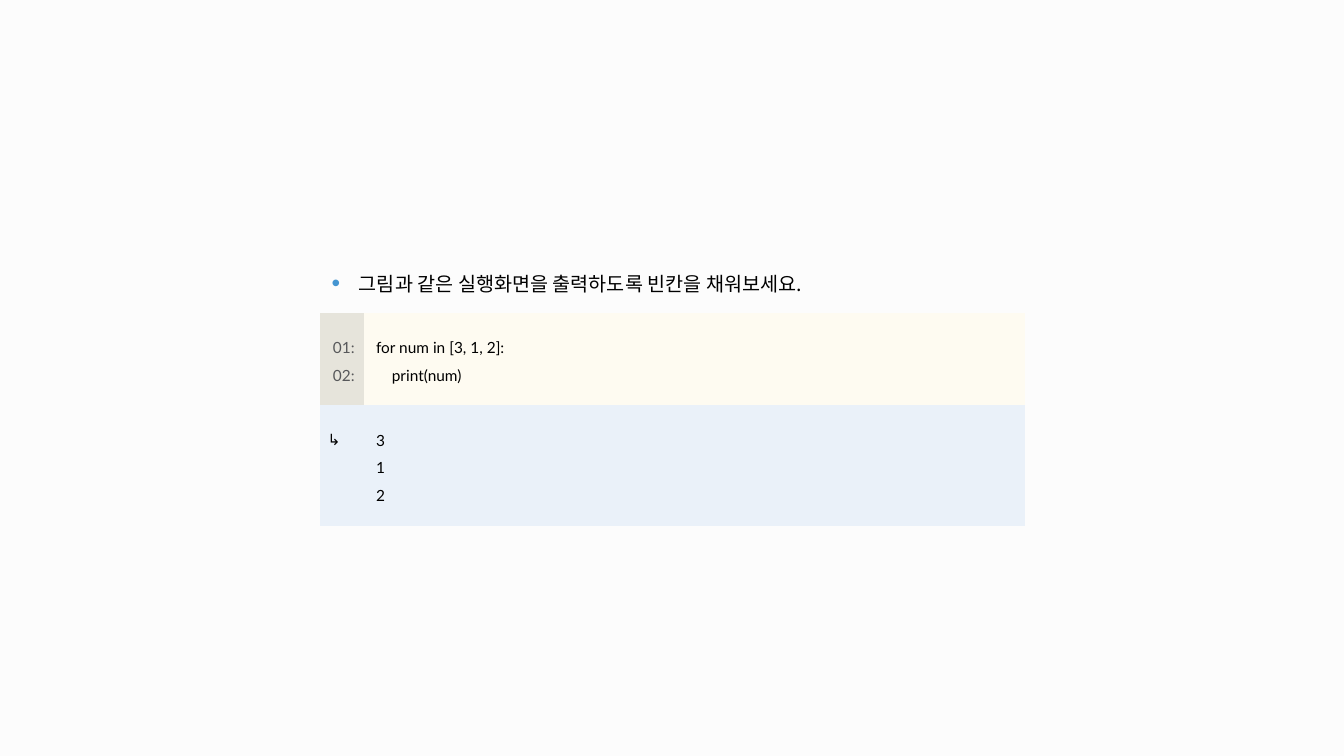
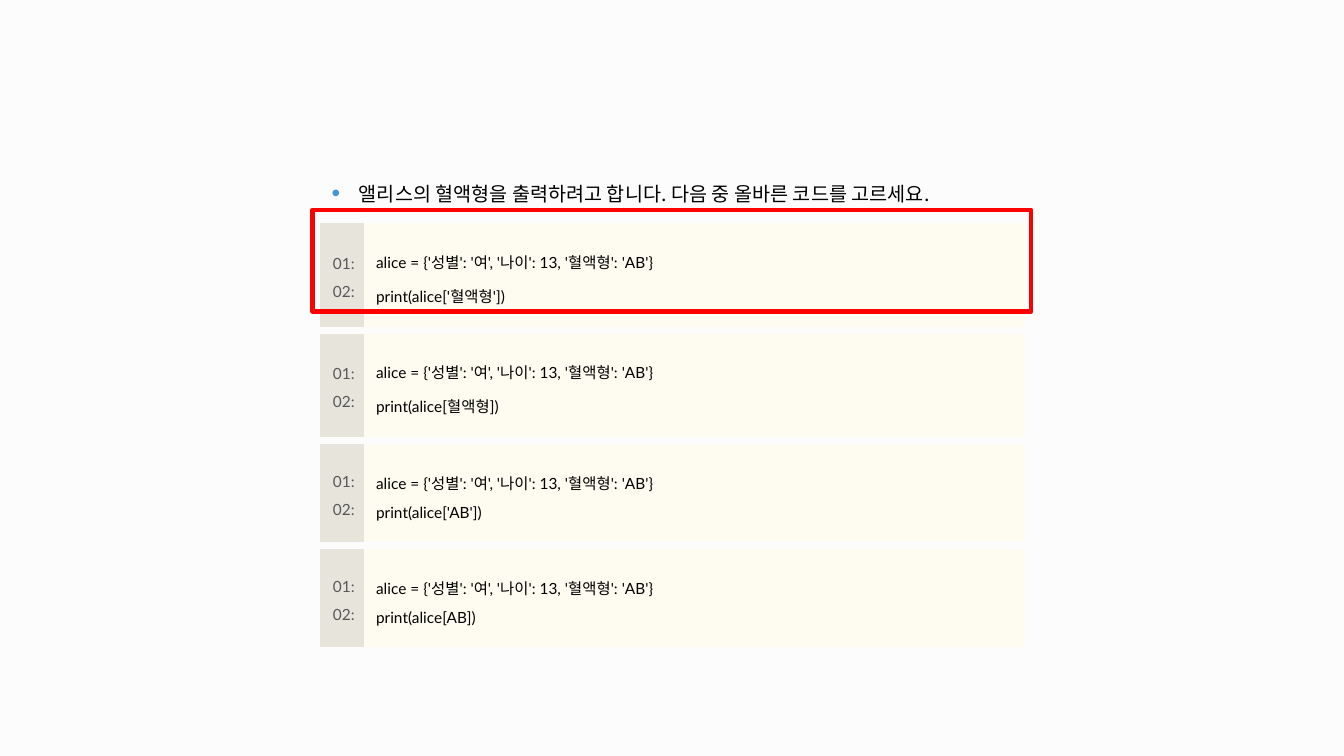
"""Build two Python quiz slides with code listings in tables."""
from dataclasses import dataclass

import lxml.etree
import pptx
import pptx.dml.color
import pptx.enum.shapes
import pptx.enum.text
import pptx.oxml.ns
import pptx.util

Inches = pptx.util.Inches
Pt = pptx.util.Pt
qn = pptx.oxml.ns.qn
ANCHOR = pptx.enum.text.MSO_ANCHOR
ALIGN = pptx.enum.text.PP_ALIGN

BACKGROUND = "FCFCFC"
INK = "000000"
NUMBER_INK = "57585A"
NUMBER_FILL = "E6E4DB"
CODE_FILL = "FEFBF1"
OUTPUT_FILL = "EAF1F9"
BULLET_COLOUR = "4495D1"
HIGHLIGHT = "FF0000"
CODE_FONT = "Lato"
KOREAN_FONT = "Noto Sans CJK KR"
NO_GRID_STYLE = "{2D5ABB26-0587-4C30-8999-92F81FD0307C}"
TABLE_LEFT = 3.17
COLUMN_WIDTHS = (0.44, 6.56)
QUESTION_HEIGHT = 0.62
GAP_HEIGHT = 0.07


@dataclass(frozen=True)
class CellStyle:
    margins: tuple[float, float, float, float]
    fill: str | None
    colour: str = INK
    font: str = CODE_FONT
    size: float = 11
    anchor: ANCHOR = ANCHOR.MIDDLE
    align: ALIGN = ALIGN.LEFT


QUESTION = CellStyle((0.12, 0.04, 0, 0.16), None, font=KOREAN_FONT, size=14)
NUMBERS = CellStyle((0.04, 0.04, 0, 0.08), NUMBER_FILL, NUMBER_INK, align=ALIGN.CENTER)
CODE = CellStyle((0.12, 0.16, 0, 0.2), CODE_FILL)
ARROW = CellStyle((0.08, 0.16, 0, 0.2), OUTPUT_FILL, anchor=ANCHOR.TOP)
OUTPUT = CellStyle((0.12, 0.16, 0, 0.2), OUTPUT_FILL)
GAP = CellStyle((0, 0, 0, 0), None, size=1)


@dataclass(frozen=True)
class Row:
    height: float
    label: list[str]
    lines: list[str]
    label_style: CellStyle
    line_style: CellStyle


GAP_ROW = Row(GAP_HEIGHT, [], [], GAP, GAP)


def code_row(height: float, lines: list[str]) -> Row:
    """Describe a listing with its line numbers."""
    numbers = [f"{number:02}:" for number in range(1, len(lines) + 1)]
    return Row(height, numbers, lines, NUMBERS, CODE)


def rgb(value: str) -> pptx.dml.color.RGBColor:
    """Turn a hex string into a colour."""
    return pptx.dml.color.RGBColor.from_string(value)


def fill_cell(cell, lines: list[str], style: CellStyle) -> None:
    """Format a table cell and write its lines."""
    if style.fill:
        cell.fill.solid()
        cell.fill.fore_color.rgb = rgb(style.fill)
    else:
        cell.fill.background()
    cell.vertical_anchor = style.anchor
    cell.margin_left, cell.margin_top, cell.margin_right, cell.margin_bottom = map(Inches, style.margins)
    frame = cell.text_frame
    if not lines:
        end = lxml.etree.SubElement(frame.paragraphs[0]._p, qn("a:endParaRPr"))
        end.set("sz", str(int(style.size * 100)))
    for index, line in enumerate(lines):
        para = frame.add_paragraph() if index else frame.paragraphs[0]
        para.alignment = style.align
        para.line_spacing = 1.5
        span = para.add_run()
        span.text = line
        span.font.size = Pt(style.size)
        span.font.name = style.font
        span.font.bold = False
        span.font.color.rgb = rgb(style.colour)
        east_asian = lxml.etree.Element(qn("a:ea"), typeface=KOREAN_FONT)
        span.font._element.find(qn("a:latin")).addnext(east_asian)


def add_bullet(para) -> None:
    """Give a paragraph a coloured, hanging bullet."""
    properties = para._p.get_or_add_pPr()
    indent = Inches(0.27)
    properties.set("marL", str(indent))
    properties.set("indent", str(-indent))
    colour = lxml.etree.SubElement(properties, qn("a:buClr"))
    lxml.etree.SubElement(colour, qn("a:srgbClr"), val=BULLET_COLOUR)
    lxml.etree.SubElement(properties, qn("a:buSzPct"), val="125000")
    lxml.etree.SubElement(properties, qn("a:buFont"), typeface="Arial")
    lxml.etree.SubElement(properties, qn("a:buChar"), char="•")


def add_quiz(page, top: float, question: str, rows: list[Row]) -> None:
    """Draw a question above its listings as one table."""
    heights = [QUESTION_HEIGHT] + [row.height for row in rows]
    graphic = page.shapes.add_table(
        len(heights), len(COLUMN_WIDTHS), Inches(TABLE_LEFT), Inches(top),
        Inches(sum(COLUMN_WIDTHS)), Inches(sum(heights)),
    )
    table = graphic.table
    table.first_row = False
    table.horz_banding = False
    table._tbl.tblPr.find(qn("a:tableStyleId")).text = NO_GRID_STYLE
    for column, width in zip(table.columns, COLUMN_WIDTHS):
        column.width = Inches(width)
    for table_row, height in zip(table.rows, heights):
        table_row.height = Inches(height)

    heading = table.cell(0, 0)
    heading.merge(table.cell(0, 1))
    fill_cell(heading, [question], QUESTION)
    add_bullet(heading.text_frame.paragraphs[0])
    for index, row in enumerate(rows, start=1):
        fill_cell(table.cell(index, 0), row.label, row.label_style)
        fill_cell(table.cell(index, 1), row.lines, row.line_style)


def add_highlight(page, left: float, top: float, width: float, height: float) -> None:
    """Frame the right answer in red."""
    box = page.shapes.add_shape(
        pptx.enum.shapes.MSO_SHAPE.RECTANGLE,
        Inches(left), Inches(top), Inches(width), Inches(height),
    )
    box.shadow.inherit = False
    box.fill.background()
    box.line.color.rgb = rgb(HIGHLIGHT)
    box.line.width = Pt(3)


def main() -> None:
    """Build and save the deck."""
    deck = pptx.Presentation()
    deck.slide_width = Inches(13.33)
    deck.slide_height = Inches(7.5)
    background = deck.slide_master.background.fill
    background.solid()
    background.fore_color.rgb = rgb(BACKGROUND)
    blank = deck.slide_layouts.get_by_name("Blank")

    loop_page = deck.slides.add_slide(blank)
    add_quiz(loop_page, 2.48, "그림과 같은 실행화면을 출력하도록 빈칸을 채워보세요.", [
        code_row(0.91, ["for num in [3, 1, 2]:", "    print(num)"]),
        Row(1.18, ["↳"], ["3", "1", "2"], ARROW, OUTPUT),
    ])

    choice_page = deck.slides.add_slide(blank)
    choices = [("'혈액형'", 1.01), ("혈액형", 1.01), ("'AB'", 0.96), ("AB", 0.96)]
    rows = []
    for key, height in choices:
        if rows:
            rows.append(GAP_ROW)
        rows.append(code_row(height, [
            "alice = {'성별': '여', '나이': 13, '혈액형': 'AB'}",
            f"print(alice[{key}])",
        ]))
    add_quiz(choice_page, 1.59, "앨리스의 혈액형을 출력하려고 합니다. 다음 중 올바른 코드를 고르세요.", rows)
    add_highlight(choice_page, 3.1, 2.08, 7.13, 1.01)

    deck.save("out.pptx")


main()
